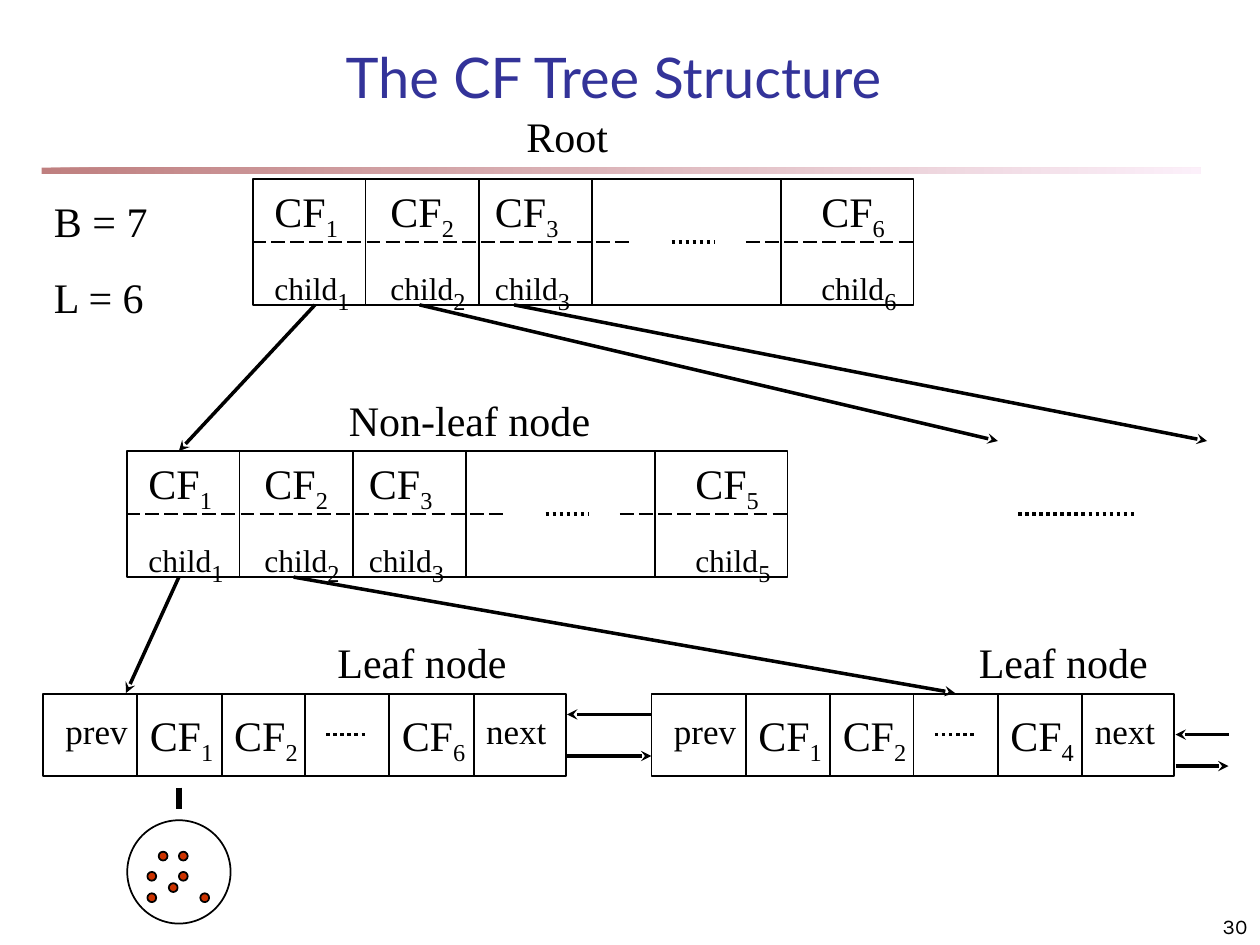
from lxml import etree
from pptx import Presentation
from pptx.dml.color import RGBColor
from pptx.enum.dml import MSO_LINE
from pptx.enum.shapes import MSO_CONNECTOR, MSO_SHAPE
from pptx.enum.text import MSO_ANCHOR, MSO_AUTO_SIZE, PP_ALIGN
from pptx.oxml.ns import qn
from pptx.util import Inches, Pt

RECT, OVAL = MSO_SHAPE.RECTANGLE, MSO_SHAPE.OVAL
STRAIGHT = MSO_CONNECTOR.STRAIGHT
DASH, DOTS = MSO_LINE.LONG_DASH, MSO_LINE.ROUND_DOT
LEFT, MID, RIGHT = PP_ALIGN.LEFT, PP_ALIGN.CENTER, PP_ALIGN.RIGHT
TOP, BASE = MSO_ANCHOR.TOP, MSO_ANCHOR.BOTTOM
GROW, FIXED = MSO_AUTO_SIZE.SHAPE_TO_FIT_TEXT, MSO_AUTO_SIZE.NONE
BLACK, BLUE, RED = "000000", "333399", "CC3300"
SERIF = "Times New Roman"


def color(code):
    """Turn a hex string into a colour."""
    return RGBColor.from_string(code)


def apply(item, form):
    """Set each attribute named in a dict."""
    for name, value in form.items():
        setattr(item, name, value)


def shape(art, kind, box, fill=None):
    """Add a black-edged shape, hollow unless a fill is given."""
    item = art.add_shape(kind, *map(Inches, box))
    item.shadow.inherit = False
    if fill:
        item.fill.solid()
        item.fill.fore_color.rgb = color(fill)
    else:
        item.fill.background()
    item.line.color.rgb = color(BLACK)
    item.line.width = Pt(1)
    return item


def line(art, start, end, width=1, dash=None, arrow=False):
    """Add a straight line, dashed or with an arrowhead if asked."""
    item = art.add_connector(STRAIGHT, *map(Inches, start + end))
    apply(item.line, {"width": Pt(width), "dash_style": dash})
    item.line.color.rgb = color(BLACK)
    props = item._element.spPr
    if arrow:
        etree.SubElement(props.find(qn("a:ln")), qn("a:tailEnd"), type="stealth")
    etree.SubElement(props, qn("a:effectLst"))


def text(art, box, words, sub="", size=24, font=SERIF, ink=BLACK,
         align=LEFT, anchor=TOP, fit=GROW):
    """Add a text box with a paragraph per line and an optional subscript."""
    frame = art.add_textbox(*map(Inches, box)).text_frame
    apply(frame, {"word_wrap": True, "auto_size": fit, "vertical_anchor": anchor})
    for num, part in enumerate(words.split("\n")):
        para = frame.add_paragraph() if num else frame.paragraphs[0]
        para.alignment = align
        if num:
            para.space_before = Pt(15)
        for piece, points in ((part, size), (sub, 24)):
            if piece:
                run = para.add_run()
                run.text = piece
                apply(run.font, {"size": Pt(points), "name": font})
                run.font.color.rgb = color(ink)
        if sub:
            run._r.get_or_add_rPr().set("baseline", "-25000")


def rule(art):
    """Add the fading bar under the title."""
    bar = shape(art, RECT, (0.33, 1.33, 9.2, 0.05))
    bar.line.fill.background()
    bar.fill.gradient()
    bar.fill.gradient_angle = 0
    for stop, code in zip(bar.fill.gradient_stops, ("800000", "FAE2F6")):
        stop.color.rgb = color(code)
    for tint in bar._element.spPr.iter(qn("a:srgbClr")):
        etree.SubElement(tint, qn("a:alpha"), val="50000")


def node(art, x, y, last):
    """Add an inner node with CF entries above child pointers."""
    shape(art, RECT, (x + 0.01, y, 5.24, 1))
    for dx in (0.9, 1.8, 2.7, 4.2):
        line(art, (x + dx, y), (x + dx, y + 1))
    for left, right in ((0, 3), (3.92, 5.25)):
        line(art, (x + left, y + 0.5), (x + right, y + 0.5), dash=DASH)
    for dx, sub in zip((0.08, 1, 1.83, 4.42), ("1", "2", "3", last)):
        text(art, (x + dx, y, 0.75, 0.56), "CF", sub)
        text(art, (x + dx, y + 0.58, 1, 0.56), "child", sub, size=18)


def leaf(art, x, last):
    """Add a leaf node with prev and next cells around CF entries."""
    shape(art, RECT, (x, 5.51, 4.15, 0.65))
    for dx in (0.75, 1.42, 2.08, 2.75, 3.42):
        line(art, (x + dx, 5.5), (x + dx, 6.17))
    for dx, sub in zip((0.75, 1.42, 2.75), ("1", "2", last)):
        text(art, (x + dx, 5.58, 0.75, 0.56), "CF", sub)
    for dx, word in ((0.08, "prev"), (3.42, "next")):
        text(art, (x + dx, 5.58, 0.75, 0.43), word, size=20)
    line(art, (x + 2.25, 5.83), (x + 2.58, 5.83), 2, DOTS)


def cluster(art):
    """Add the circle of data points below the first leaf."""
    for x, y in ((1.26, 6.76), (1.42, 6.92), (1.42, 6.76), (1.17, 7.09),
                 (1.17, 6.92), (1.34, 7.01), (1.59, 7.09)):
        shape(art, OVAL, (x, y, 0.07, 0.07), RED)
    shape(art, OVAL, (1.01, 6.51, 0.82, 0.82))


def main():
    """Build the slide and save it."""
    deck = Presentation()
    apply(deck, {"slide_width": Inches(10), "slide_height": Inches(7.5)})
    art = deck.slides.add_slide(deck.slide_layouts[6]).shapes
    rule(art)
    text(art, (0.74, 0.25, 8.26, 0.67), "The CF Tree Structure", size=32,
         font="Lato", ink=BLUE, align=MID, anchor=BASE, fit=FIXED)
    node(art.add_group_shape().shapes, 2, 1.42, "6")
    node(art, 1, 3.58, "5")
    leaf(art, 0.34, "6")
    leaf(art, 5.17, "4")
    for start, end in (((2.5, 2.42), (1.42, 3.58)), ((3.33, 2.42), (7.92, 3.5)),
                       ((4.08, 2.42), (9.58, 3.5)), ((1.42, 4.58), (1, 5.5)),
                       ((2.33, 4.58), (7.58, 5.5)), ((5.17, 5.67), (4.5, 5.67)),
                       ((4.5, 6), (5.17, 6)), ((9.33, 6.08), (9.75, 6.08)),
                       ((9.75, 5.83), (9.33, 5.83))):
        line(art, start, end, 2, arrow=True)
    for left, right, y in ((4.33, 4.67, 4.08), (5.33, 5.67, 1.92), (8.08, 9, 4.08)):
        line(art, (left, y), (right, y), 2, DOTS)
    for box, words in (((0.33, 1.5, 1.17, 1.11), "B = 7\nL = 6"),
                       ((4.08, 0.83, 1.08, 0.5), "Root"),
                       ((2.67, 3.08, 2.17, 0.5), "Non-leaf node"),
                       ((2.58, 5, 1.58, 0.5), "Leaf node"),
                       ((7.67, 5, 1.58, 0.5), "Leaf node")):
        text(art, box, words)
    cluster(art.add_group_shape().shapes)
    line(art, (1.42, 6.25), (1.42, 6.42), 3)
    text(art, (7.92, 7.08, 2.08, 0.42), "30", size=12, font="Karla",
         align=RIGHT, anchor=BASE, fit=FIXED)
    deck.save("out.pptx")


if __name__ == "__main__":
    main()
